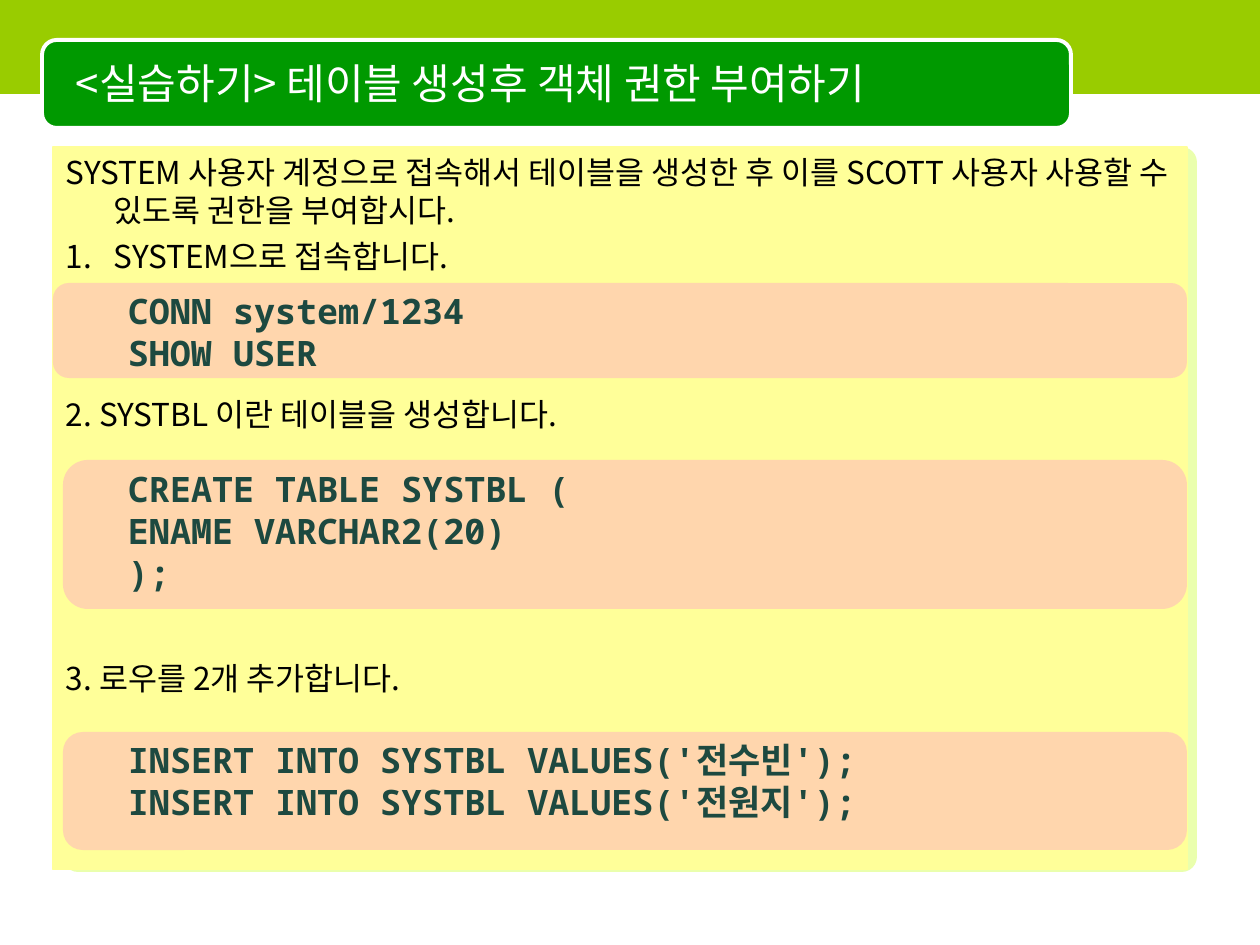
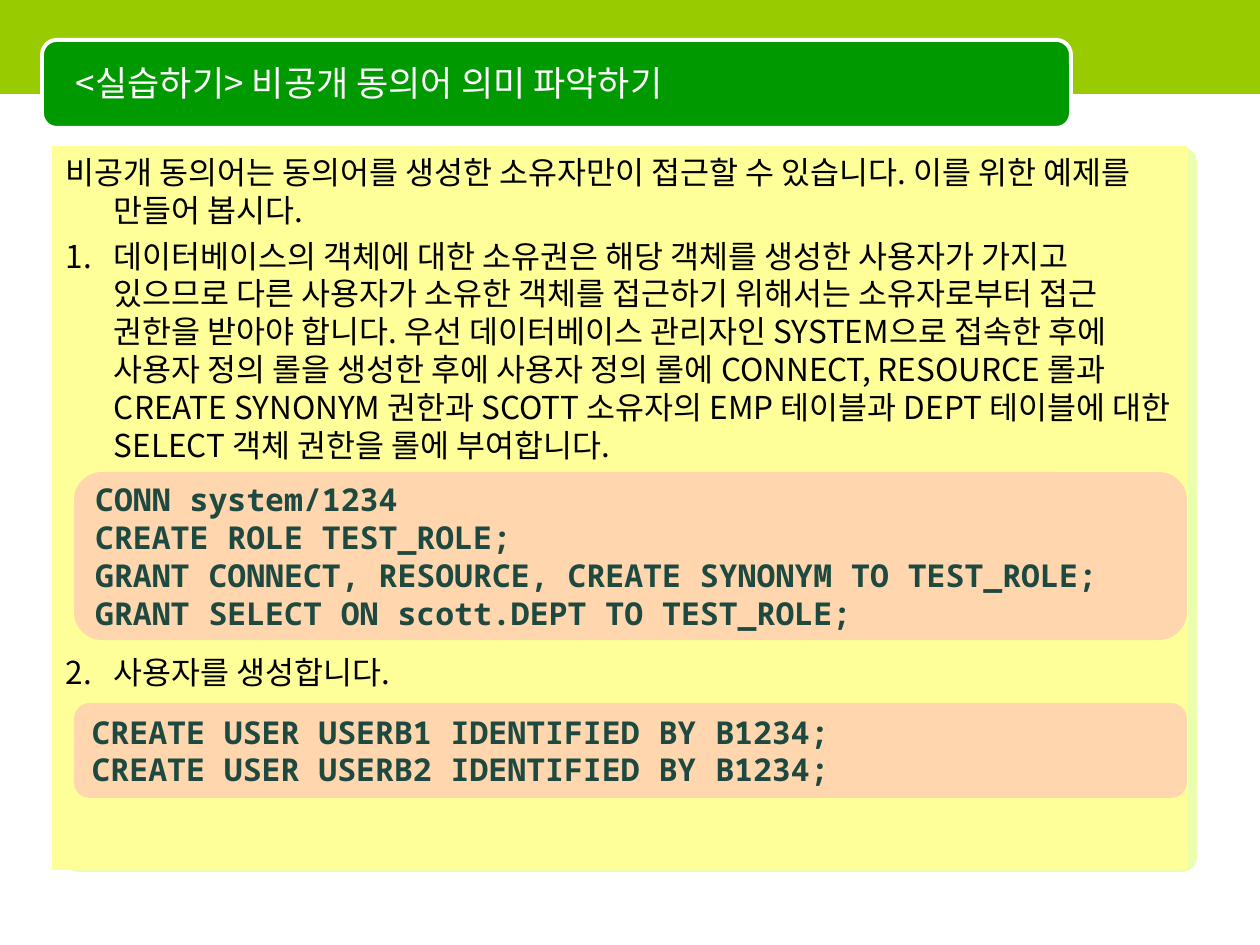
import pptx
import pptx.dml.color
import pptx.enum.shapes
import pptx.enum.text
import pptx.oxml.ns
import pptx.util
from lxml import etree

COLORS = {
    "band": "99CC00", "banner": "009900", "white": "FFFFFF", "backing": "CCFF33",
    "body": "FFFF99", "code_panel": "FF99CC", "code": "1D4940", "text": "000000",
}
SANS, MONO = "Noto Sans CJK KR", "Noto Sans Mono"
EMU_PER_PX = 914400 // 126
LINE_HEIGHT = 1.2
CORNER = 0.167
TEXT_INSET = 13

BAND = (0, 0, 1261, 94)
BANNER = (42, 40, 1029, 88)
TITLE = (63, 44, 998, 78)
BACKING = (63, 147, 1134, 725)
BODY = (53, 147, 1134, 723)
PANEL_RIGHT = 1187

# Steps are (space before in px, numbered, text); panels are (left, top, height, lines).
SLIDES = [
    {
        "title": "<실습하기> 테이블 생성후 객체 권한 부여하기",
        "title_size": 24,
        "steps": [
            (8, False, "SYSTEM 사용자 계정으로 접속해서 테이블을 생성한 후 이를 SCOTT 사용자 사용할 "
                       "수 있도록 권한을 부여합시다."),
            (8, True, "SYSTEM으로 접속합니다."),
            (121, False, "2. SYSTBL 이란 테이블을 생성합니다."),
            (226, False, "3. 로우를 2개 추가합니다."),
        ],
        "code_size": 20,
        "code_left": 128,
        "panels": [
            (53, 283, 95, ["CONN system/1234", "SHOW USER"]),
            (63, 460, 149, ["CREATE TABLE SYSTBL (", "ENAME VARCHAR2(20)", ");"]),
            (63, 732, 118, ["INSERT INTO SYSTBL VALUES('전수빈');",
                            "INSERT INTO SYSTBL VALUES('전원지');"]),
        ],
    },
    {
        "title": "<실습하기> 비공개 동의어 의미 파악하기",
        "title_size": 20,
        "steps": [
            (8, False, "비공개 동의어는 동의어를 생성한 소유자만이 접근할 수 있습니다. "
                       "이를 위한 예제를 만들어 봅시다."),
            (8, True, "데이터베이스의 객체에 대한 소유권은 해당 객체를 생성한 사용자가 가지고 "
                      "있으므로 다른 사용자가 소유한 객체를 접근하기 위해서는 소유자로부터 접근 "
                      "권한을 받아야 합니다. 우선 데이터베이스 관리자인 SYSTEM으로 접속한 후에 "
                      "사용자 정의 롤을 생성한 후에 사용자 정의 롤에 CONNECT, RESOURCE 롤과 "
                      "CREATE SYNONYM 권한과 SCOTT 소유자의 EMP 테이블과 DEPT 테이블에 "
                      "대한 SELECT 객체 권한을 롤에 부여합니다."),
            (190, True, "사용자를 생성합니다."),
        ],
        "code_size": 18,
        "code_left": None,
        "panels": [
            (74, 472, 168, ["CONN system/1234", "CREATE ROLE TEST_ROLE;",
                            "GRANT CONNECT, RESOURCE, CREATE SYNONYM TO TEST_ROLE;",
                            "GRANT SELECT ON scott.DEPT TO TEST_ROLE;"]),
            (74, 703, 95, ["CREATE USER USERB1 IDENTIFIED BY B1234;",
                           "CREATE USER USERB2 IDENTIFIED BY B1234;"]),
        ],
    },
]


def px(length):
    return pptx.util.Emu(round(length * EMU_PER_PX))


def rgb(name):
    return pptx.dml.color.RGBColor.from_string(COLORS[name])


def add_child(parent, tag, **attributes):
    return etree.SubElement(parent, pptx.oxml.ns.qn(tag), attributes)


def add_box(slide, box, fill, corner=None, alpha=None, line=None, line_width=0.75):
    """Add a rectangle, rounded when a corner ratio is given."""
    kinds = pptx.enum.shapes.MSO_SHAPE
    kind = kinds.RECTANGLE if corner is None else kinds.ROUNDED_RECTANGLE
    shape = slide.shapes.add_shape(kind, *map(px, box))
    shape.shadow.inherit = False
    if corner is not None:
        shape.adjustments[0] = corner
    shape.fill.solid()
    shape.fill.fore_color.rgb = rgb(fill)
    if alpha:
        color = shape.element.spPr.find(".//" + pptx.oxml.ns.qn("a:srgbClr"))
        add_child(color, "a:alpha", val=str(alpha * 1000))
    if line:
        shape.line.color.rgb = rgb(line)
        shape.line.width = pptx.util.Pt(line_width)
    else:
        shape.line.fill.background()
    return shape


def set_frame(frame, anchor, left=TEXT_INSET, top=6, wrap=True):
    frame.word_wrap = wrap
    frame.auto_size = pptx.enum.text.MSO_AUTO_SIZE.NONE
    frame.vertical_anchor = anchor
    frame.margin_left, frame.margin_right = px(left), px(TEXT_INSET)
    frame.margin_top = frame.margin_bottom = px(top)


def write_paragraph(frame, index, text, size, color, font=SANS, bold=False):
    paragraph = frame.add_paragraph() if index else frame.paragraphs[0]
    paragraph.alignment = pptx.enum.text.PP_ALIGN.LEFT
    paragraph.line_spacing = pptx.util.Pt(size * LINE_HEIGHT)
    run = paragraph.add_run()
    run.text = text
    run.font.size = pptx.util.Pt(size)
    run.font.name = font
    run.font.bold = bold
    run.font.color.rgb = rgb(color)
    add_child(run.font._element, "a:ea", typeface=SANS)
    return paragraph


def decorate_layout(layout, slide):
    """Draw the shared background on a slide, then move it to the layout."""
    shapes = [
        add_box(slide, BACKING, "backing", corner=0.021, alpha=40),
        add_box(slide, BAND, "band"),
        add_box(slide, BANNER, "banner", corner=CORNER, line="white", line_width=2.25),
    ]
    for position, shape in enumerate(shapes, start=2):
        layout.shapes.element.insert(position, shape.element)


def write_title(slide, text, size):
    title = slide.shapes.title
    title.left, title.top, title.width, title.height = map(px, TITLE)
    set_frame(title.text_frame, pptx.enum.text.MSO_ANCHOR.MIDDLE)
    write_paragraph(title.text_frame, 0, text, size, "white")


def add_steps(slide, steps):
    body = add_box(slide, BODY, "body", line="body")
    set_frame(body.text_frame, pptx.enum.text.MSO_ANCHOR.TOP)
    for index, (gap, numbered, text) in enumerate(steps):
        paragraph = write_paragraph(body.text_frame, index, text, 18, "text")
        paragraph.space_before = pptx.util.Pt(round(gap * 72 / 126, 1))
        properties = paragraph._p.get_or_add_pPr()
        properties.set("marL", str(px(48)))
        properties.set("indent", str(px(-48)))
        if numbered:
            add_child(properties, "a:buFont", typeface=SANS)
            add_child(properties, "a:buAutoNum", type="arabicPeriod")
        else:
            add_child(properties, "a:buNone")


def add_code_panel(slide, left, top, height, lines, size, code_left):
    """Add a code panel; with code_left, text starts there at the panel's top."""
    panel = add_box(slide, (left, top, PANEL_RIGHT - left, height), "code_panel",
                    corner=CORNER, alpha=40)
    anchors = pptx.enum.text.MSO_ANCHOR
    if code_left:
        corner_inset = height * CORNER * 0.29
        set_frame(panel.text_frame, anchors.TOP, code_left - left - corner_inset,
                  max(0, 6 - corner_inset), wrap=False)
    else:
        set_frame(panel.text_frame, anchors.MIDDLE, wrap=False)
    for index, line in enumerate(lines):
        write_paragraph(panel.text_frame, index, line, size, "code", MONO, bold=True)


def main():
    presentation = pptx.Presentation()
    presentation.slide_width, presentation.slide_height = px(1260), px(945)
    layout = presentation.slide_layouts[5]
    for number, content in enumerate(SLIDES):
        slide = presentation.slides.add_slide(layout)
        if number == 0:
            decorate_layout(layout, slide)
        write_title(slide, content["title"], content["title_size"])
        add_steps(slide, content["steps"])
        for panel in content["panels"]:
            add_code_panel(slide, *panel, content["code_size"], content["code_left"])
    presentation.save("out.pptx")


if __name__ == "__main__":
    main()
